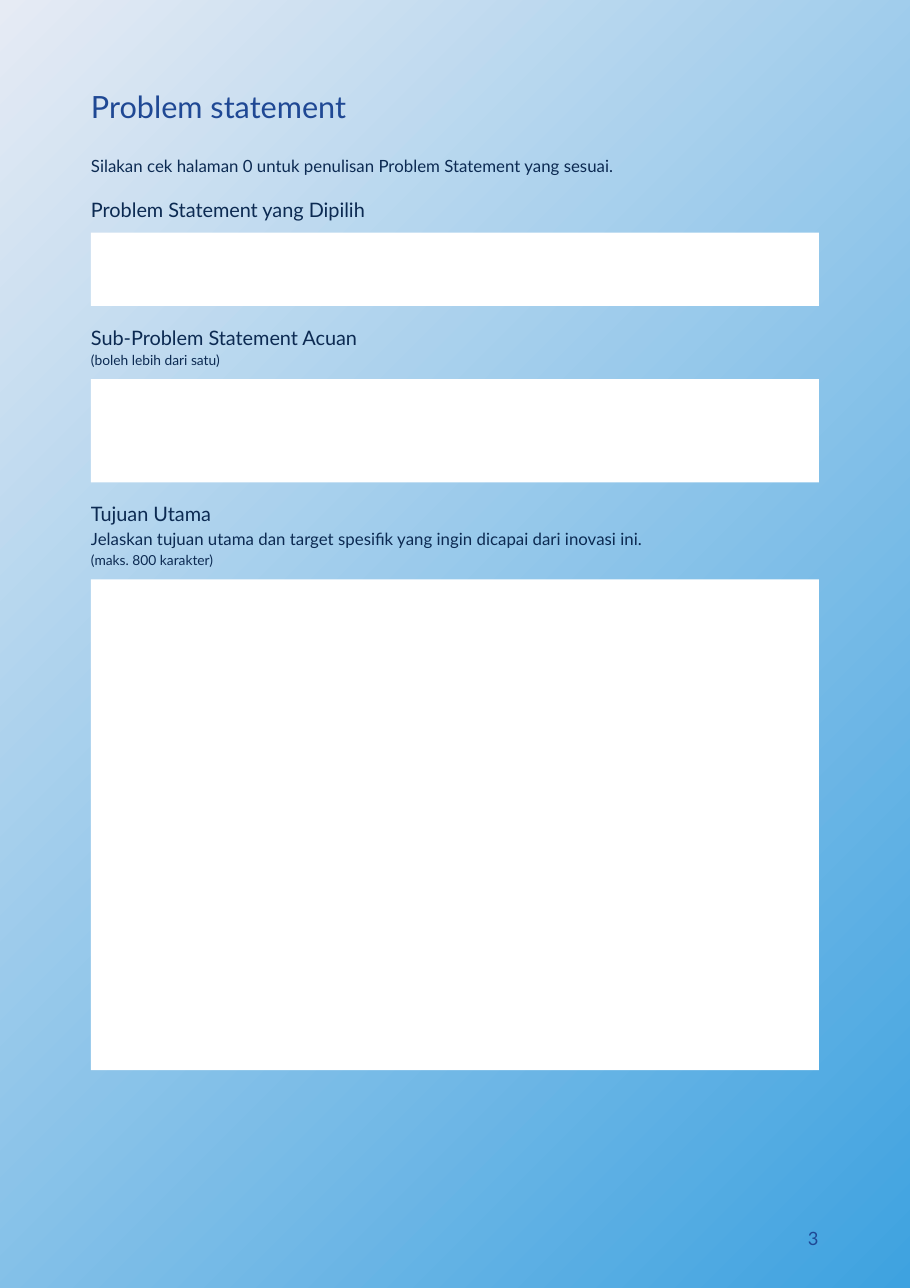
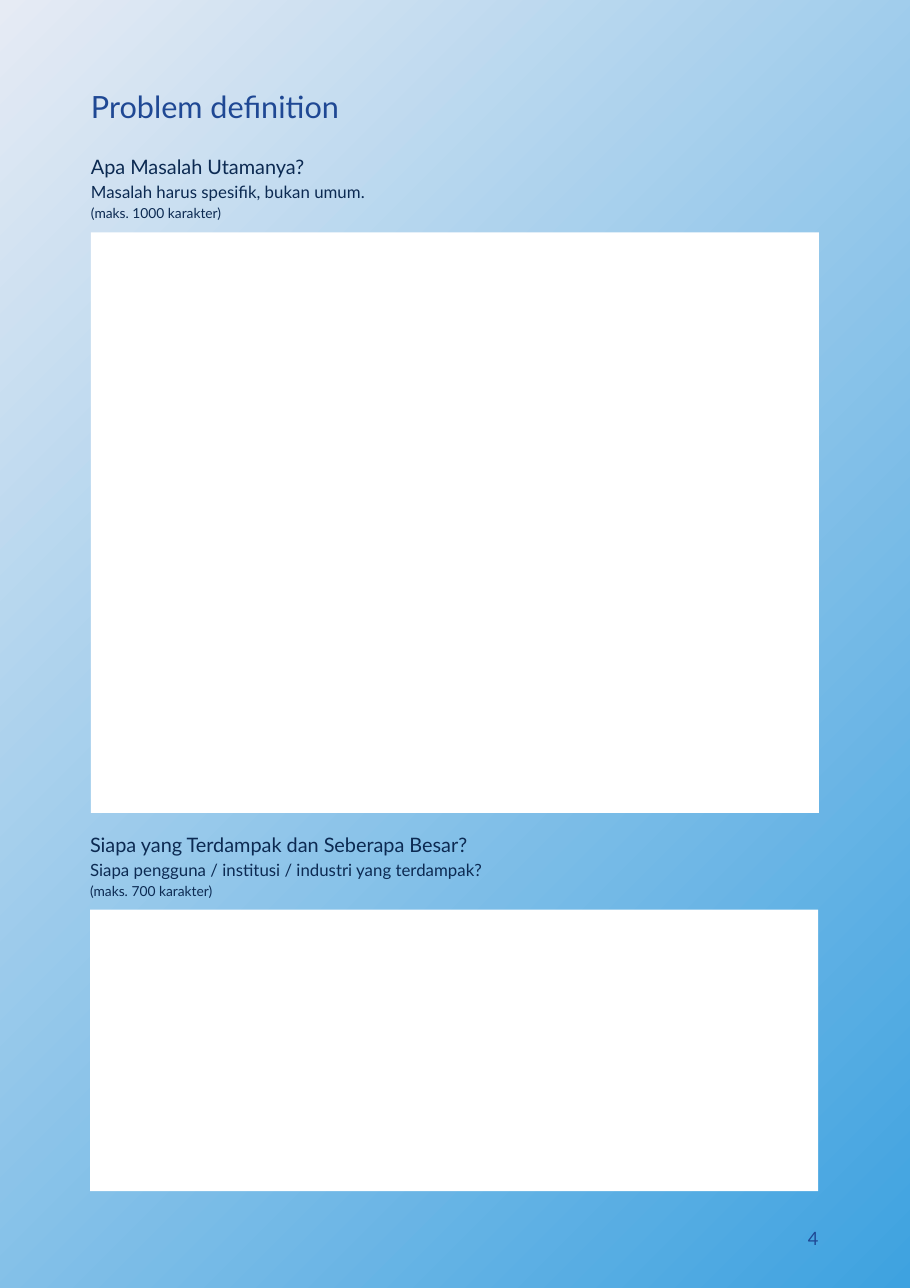
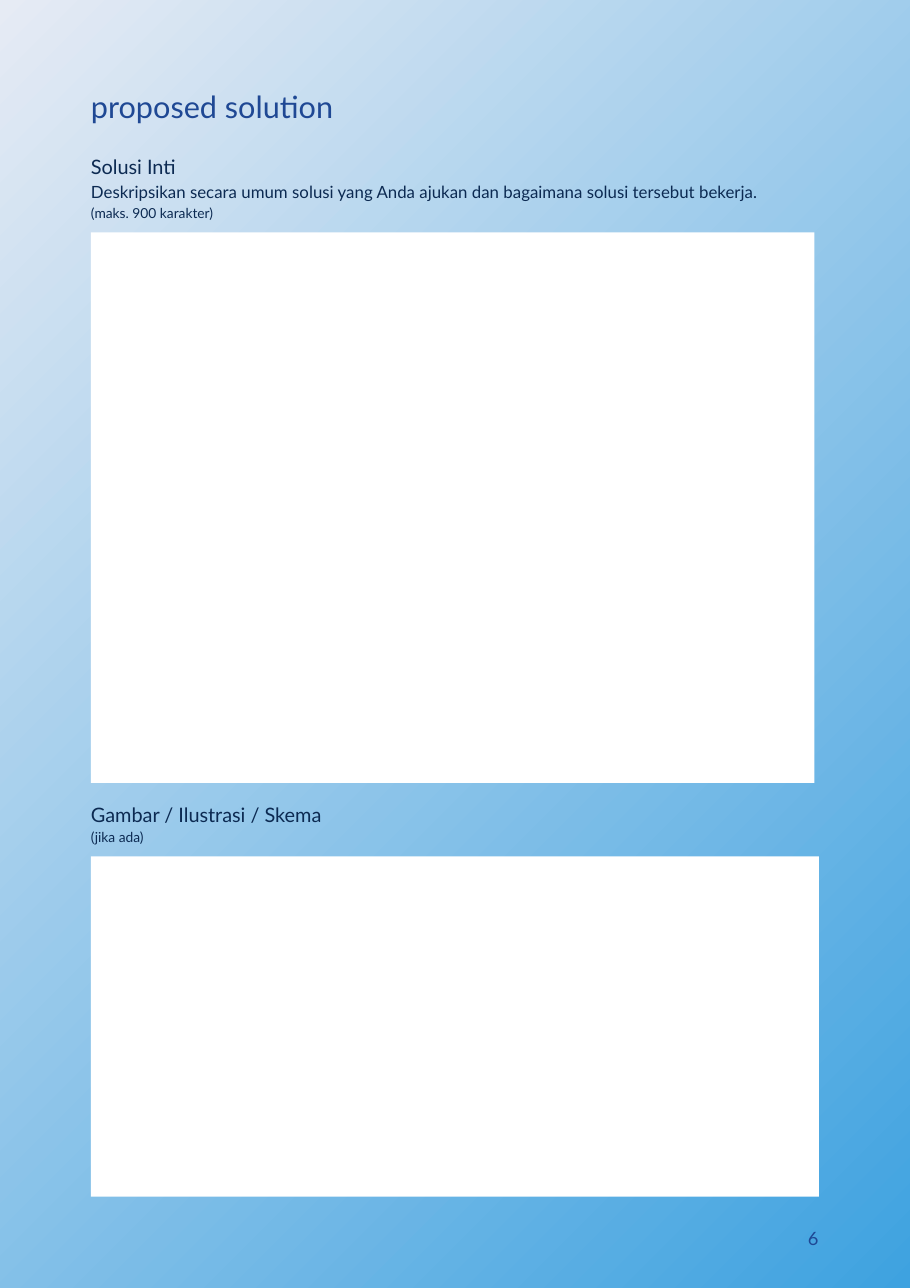
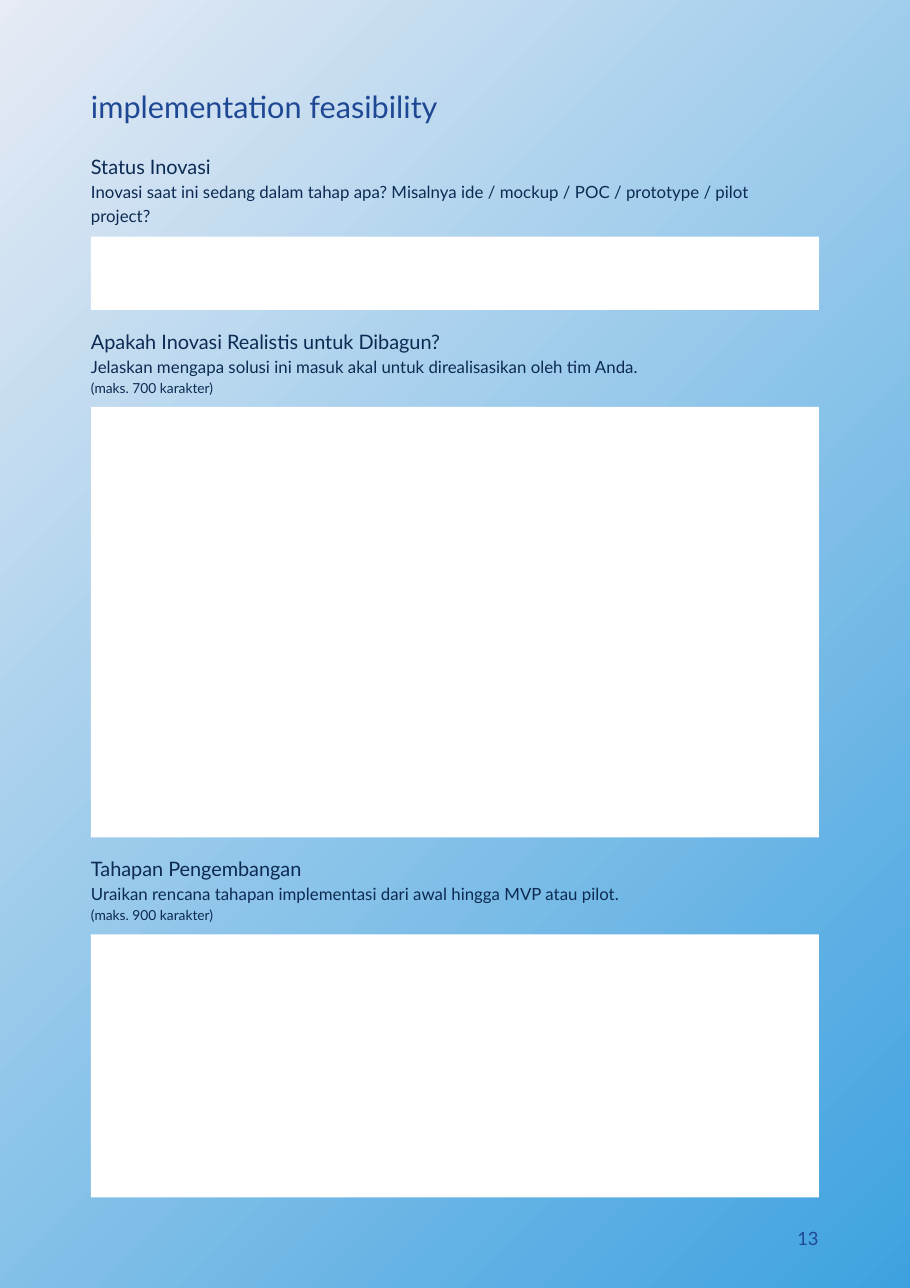
import pptx
import pptx.util
import pptx.dml.color
import pptx.enum.shapes
import pptx.enum.text
import pptx.oxml.ns
import lxml.etree

Pt = pptx.util.Pt
COLORS = {
    "title": "1F4894",
    "body": "0C2A52",
    "answer": "FFFFFF",
    "gradient_start": "E6EBF4",
    "gradient_end": "3EA2E0",
}
FONT = "Lato"
LINE_FACTOR = 1.4

# Page geometry in points
LEFT = 59.5
CONTENT_WIDTH = 476
LABEL_WIDTH = 468
LABEL_PADDING = 1.4
LABEL_TO_BOX = 5.7
BOX_TO_LABEL = 10
HEADING, DETAIL, NOTE = 13, 11, 9


def add_text(slide, lines, left, top, width, height, color="body",
             align=pptx.enum.text.PP_ALIGN.LEFT):
    """Add a text box; lines holds (text, size) pairs, one per paragraph."""
    frame = slide.shapes.add_textbox(Pt(left), Pt(top), Pt(width), Pt(height)).text_frame
    frame.word_wrap = True
    frame.margin_left = frame.margin_top = frame.margin_right = frame.margin_bottom = 0
    for index, (text, size) in enumerate(lines):
        paragraph = frame.add_paragraph() if index else frame.paragraphs[0]
        paragraph.alignment = align
        paragraph.line_spacing = Pt(size * LINE_FACTOR)
        run = paragraph.add_run()
        run.text = text
        run.font.name = FONT
        run.font.size = Pt(size)
        run.font.color.rgb = pptx.dml.color.RGBColor.from_string(COLORS[color])


presentation = pptx.Presentation()
presentation.slide_width = Pt(595)
presentation.slide_height = Pt(842)

# Shared background: gradient spreading from the top left corner
master = presentation.slide_master
fill = master.background.fill
fill.gradient()
qn = pptx.oxml.ns.qn
for stop, name, position in zip(fill.gradient_stops, ("gradient_start", "gradient_end"), (0, 1)):
    stop.color.rgb = pptx.dml.color.RGBColor.from_string(COLORS[name])
    stop.position = position
gradient = master.element.find(".//" + qn("p:bgPr")).find(qn("a:gradFill"))
for color_element, alpha in zip(gradient.iter(qn("a:srgbClr")), (50000, 5000)):
    lxml.etree.SubElement(color_element, qn("a:alpha"), val=str(alpha))
linear = gradient.find(qn("a:lin"))
circle = lxml.etree.Element(qn("a:path"), path="circle")
lxml.etree.SubElement(circle, qn("a:fillToRect"), l="0", t="0", r="100000", b="100000")
gradient.replace(linear, circle)

# Each page: title, number, intro, top of the first label, sections
# Each section: label lines, box height, left, box width
pages = [
    ("Problem statement", "3",
     "Silakan cek halaman 0 untuk penulisan Problem Statement yang sesuai.", 126.7, [
         ([("Problem Statement yang Dipilih", HEADING)], 48, LEFT, CONTENT_WIDTH),
         ([("Sub-Problem Statement Acuan", HEADING),
           ("(boleh lebih dari satu)", NOTE)], 67.5, LEFT, CONTENT_WIDTH),
         ([("Tujuan Utama", HEADING),
           ("Jelaskan tujuan utama dan target spesifik yang ingin dicapai dari inovasi ini.", DETAIL),
           ("(maks. 800 karakter)", NOTE)], 321, LEFT, CONTENT_WIDTH),
     ]),
    ("Problem definition", "4", None, 98.6, [
        ([("Apa Masalah Utamanya?", HEADING),
          ("Masalah harus spesifik, bukan umum.", DETAIL),
          ("(maks. 1000 karakter)", NOTE)], 379.5, LEFT, CONTENT_WIDTH),
        ([("Siapa yang Terdampak dan Seberapa Besar?", HEADING),
          ("Siapa pengguna / institusi / industri yang terdampak?", DETAIL),
          ("(maks. 700 karakter)", NOTE)], 184, 58.9, CONTENT_WIDTH),
    ]),
    ("proposed solution", "6", None, 98.6, [
        ([("Solusi Inti", HEADING),
          ("Deskripsikan secara umum solusi yang Anda ajukan dan bagaimana solusi tersebut bekerja.", DETAIL),
          ("(maks. 900 karakter)", NOTE)], 360, LEFT, 473),
        ([("Gambar / Ilustrasi / Skema", HEADING),
          ("(jika ada)", NOTE)], 222.5, LEFT, CONTENT_WIDTH),
    ]),
    ("implementation feasibility", "13", None, 98.6, [
        ([("Status Inovasi", HEADING),
          ("Inovasi saat ini sedang dalam tahap apa? Misalnya ide / mockup / POC / "
           "prototype / pilot project?", DETAIL)], 48, LEFT, CONTENT_WIDTH),
        ([("Apakah Inovasi Realistis untuk Dibagun?", HEADING),
          ("Jelaskan mengapa solusi ini masuk akal untuk direalisasikan oleh tim Anda.", DETAIL),
          ("(maks. 700 karakter)", NOTE)], 281.5, LEFT, CONTENT_WIDTH),
        ([("Tahapan Pengembangan", HEADING),
          ("Uraikan rencana tahapan implementasi dari awal hingga MVP atau pilot.", DETAIL),
          ("(maks. 900 karakter)", NOTE)], 172, LEFT, CONTENT_WIDTH),
    ]),
]

for title, number, intro, top, sections in pages:
    slide = presentation.slides.add_slide(presentation.slide_layouts[6])

    # Title, introduction and page number
    add_text(slide, [(title, 20)], LEFT, 53.3, CONTENT_WIDTH, 29.5, color="title")
    if intro:
        add_text(slide, [(intro, DETAIL)], LEFT, 99.4, LABEL_WIDTH, 16.8)
    add_text(slide, [(number, 12)], 62.9, 800, 472.3, 16.8, color="title",
             align=pptx.enum.text.PP_ALIGN.RIGHT)

    # Labels and answer boxes, flowing down the page
    for lines, box_height, left, box_width in sections:
        label_height = sum(size * LINE_FACTOR for text, size in lines) + LABEL_PADDING
        if title == "implementation feasibility" and len(lines) == 2:
            label_height += DETAIL * LINE_FACTOR  # the detail wraps to two lines
        add_text(slide, lines, left, top, LABEL_WIDTH, label_height)
        top += label_height + LABEL_TO_BOX
        box = slide.shapes.add_shape(pptx.enum.shapes.MSO_SHAPE.RECTANGLE,
                                     Pt(left), Pt(top), Pt(box_width), Pt(box_height))
        box.shadow.inherit = False
        box.fill.solid()
        box.fill.fore_color.rgb = pptx.dml.color.RGBColor.from_string(COLORS["answer"])
        box.line.fill.background()
        top += box_height + BOX_TO_LABEL

presentation.save("out.pptx")
